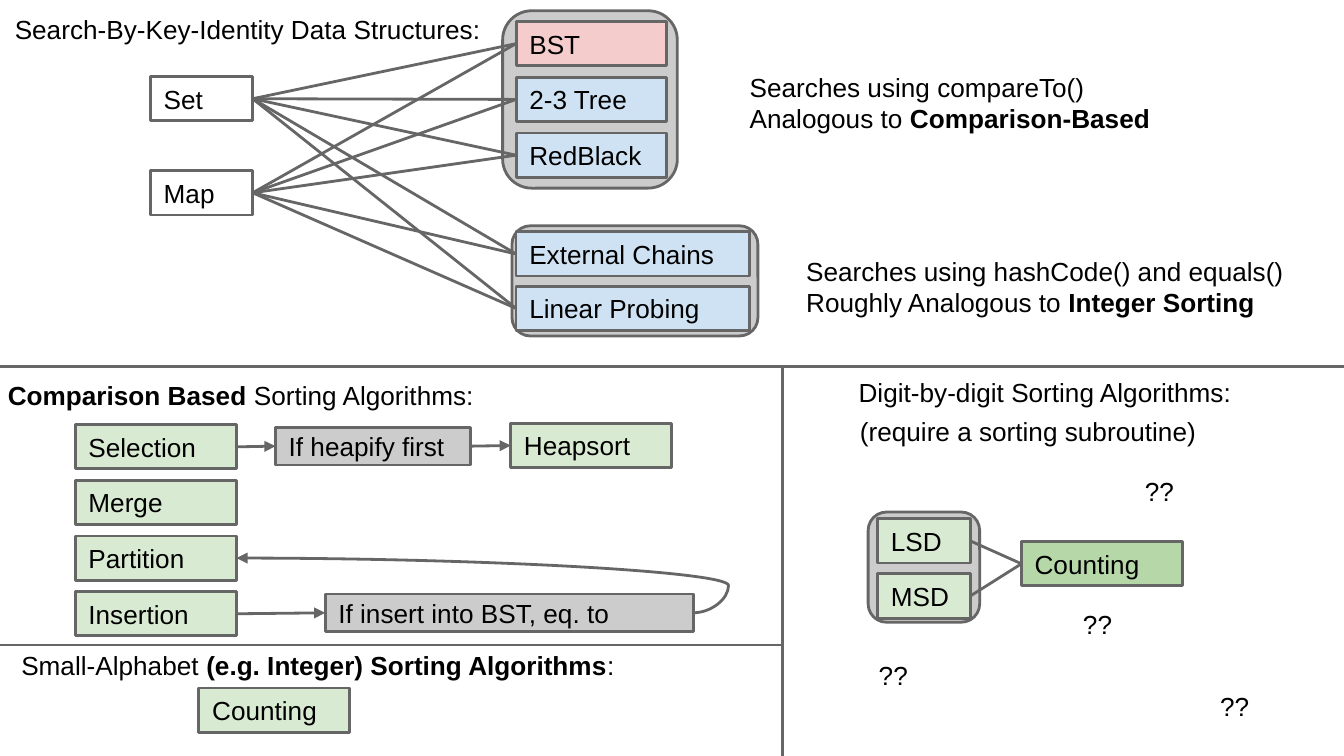
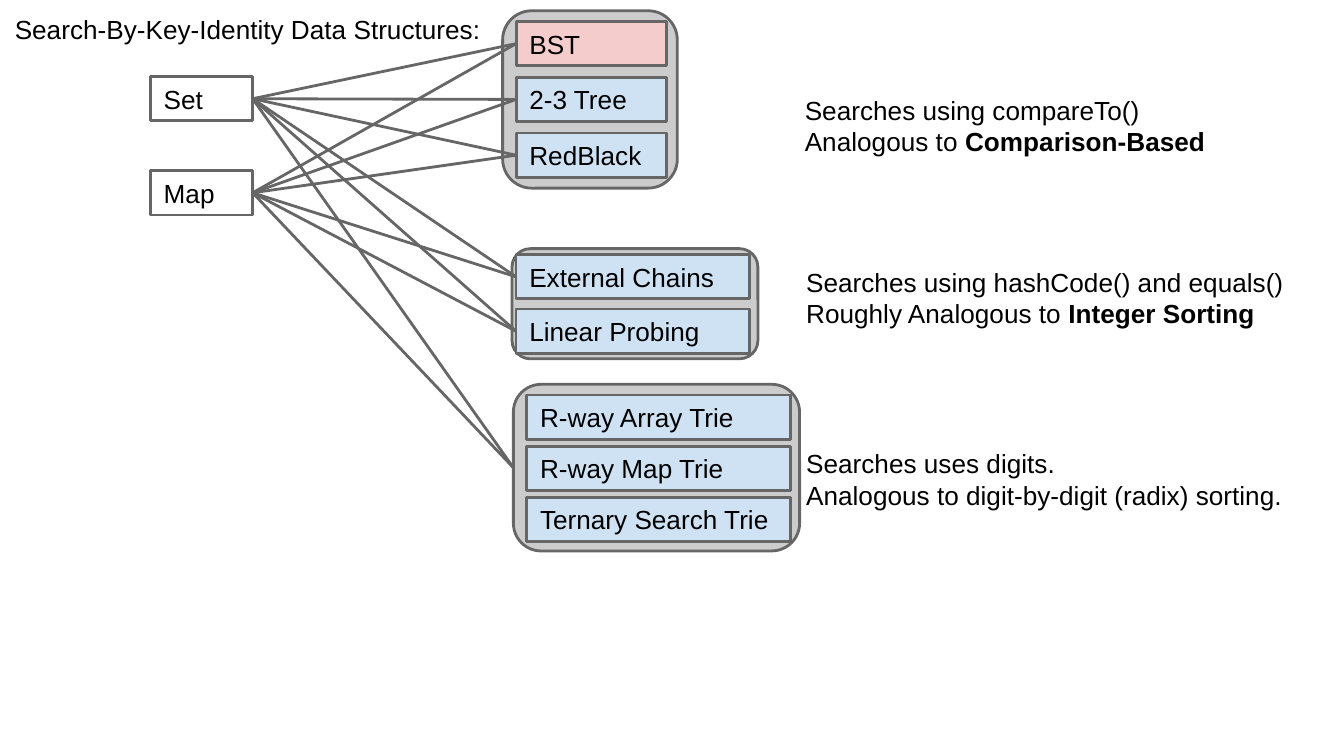
import dataclasses
import itertools

import pptx
import pptx.dml.color
import pptx.enum.shapes
import pptx.enum.text
import pptx.oxml.ns
import pptx.util
from lxml import etree

SHAPE = pptx.enum.shapes.MSO_SHAPE
LINK = pptx.enum.shapes.MSO_CONNECTOR
ANCHOR = pptx.enum.text.MSO_ANCHOR
TOP, LEFT, BOTTOM, RIGHT = range(4)
COLS, ROWS = 100, 56.25
BOX_ROWS = 3.3
CALLOUT_ROWS = 2.8


@dataclasses.dataclass(frozen=True)
class Theme:
    font: str = "Arial"
    size: float = 14
    line_width: float = 1.5
    text: str = "000000"
    line: str = "666666"
    white: str = "FFFFFF"
    gray: str = "CCCCCC"
    red: str = "F4CCCC"
    blue: str = "CFE2F3"
    green: str = "D9EAD3"
    dark_green: str = "B6D7A8"


THEME = Theme()


def rgb(value):
    return pptx.dml.color.RGBColor.from_string(value)


def grid(cells):
    return pptx.util.Inches(cells / 10)


def write(sp, lines, anchor=ANCHOR.TOP):
    tf = sp.text_frame
    tf.word_wrap = True
    tf.auto_size = pptx.enum.text.MSO_AUTO_SIZE.NONE
    tf.vertical_anchor = anchor
    tf.margin_left = tf.margin_top = tf.margin_right = tf.margin_bottom = grid(1)
    for i, line in enumerate(lines):
        p = tf.paragraphs[0] if i == 0 else tf.add_paragraph()
        p.alignment = pptx.enum.text.PP_ALIGN.LEFT
        for j, part in enumerate(line.split("*")):
            if part:
                r = p.add_run()
                r.text = part
                r.font.name = THEME.font
                r.font.size = pptx.util.Pt(THEME.size)
                r.font.bold = j % 2 == 1
                r.font.color.rgb = rgb(THEME.text)


def style_line(line):
    line.color.rgb = rgb(THEME.line)
    line.width = pptx.util.Pt(THEME.line_width)


def panel(shapes, col, row, cols, rows, fill, kind=SHAPE.ROUNDED_RECTANGLE):
    sp = shapes.add_shape(kind, grid(col), grid(row), grid(cols), grid(rows))
    sp.shadow.inherit = False
    sp.fill.solid()
    sp.fill.fore_color.rgb = rgb(fill)
    style_line(sp.line)
    return sp


def box(shapes, text, col, row, cols, fill, rows=BOX_ROWS):
    sp = panel(shapes, col, row, cols, rows, fill, SHAPE.RECTANGLE)
    write(sp, [text], ANCHOR.MIDDLE)
    return sp


def stack(shapes, labels, col, row, cols, pitch, fills):
    return [box(shapes, label, col, row + i * pitch, cols, fill)
            for i, (label, fill) in enumerate(zip(labels, itertools.cycle(fills)))]


def label(shapes, lines, col, row, cols, rows=BOX_ROWS):
    sp = shapes.add_textbox(grid(col), grid(row), grid(cols), grid(rows))
    write(sp, lines)


def line(shapes, start, end, kind=LINK.STRAIGHT):
    c = shapes.add_connector(kind, *start, *end)
    style_line(c.line)
    etree.SubElement(c._element.spPr, pptx.oxml.ns.qn("a:effectLst"))
    return c


def site(sp, side):
    x = sp.left + {LEFT: 0, RIGHT: sp.width}.get(side, sp.width // 2)
    y = sp.top + {TOP: 0, BOTTOM: sp.height}.get(side, sp.height // 2)
    return x, y


def connect(shapes, a, b, end_side=LEFT, arrow=False, kind=LINK.STRAIGHT):
    c = line(shapes, site(a, RIGHT), site(b, end_side), kind)
    c.begin_connect(a, RIGHT)
    c.end_connect(b, end_side)
    if arrow:
        ln = c.line._get_or_add_ln()
        etree.SubElement(ln, pptx.oxml.ns.qn("a:tailEnd"), type="triangle")
    return c


def bend(c, share):
    qn = pptx.oxml.ns.qn
    geom = c._element.spPr.find(qn("a:prstGeom"))
    av = geom.find(qn("a:avLst"))
    if av is None:
        av = etree.SubElement(geom, qn("a:avLst"))
    etree.SubElement(av, qn("a:gd"), name="adj1", fmla=f"val {round(share * 100000)}")


def add_slide(prs, title):
    s = prs.slides.add_slide(prs.slide_layouts[5])
    sp = s.shapes.title
    sp.left, sp.top, sp.width, sp.height = map(grid, (0.1, 0, 43.1, BOX_ROWS))
    write(sp, [title])
    return s


def search_structures(s, hash_row, tree_note, hash_note_row):
    shapes = s.shapes
    panel(shapes, 38.1, hash_row, 18.3, 8.2, THEME.gray)
    panel(shapes, 37.4, 0.8, 13, 13.2, THEME.gray)
    keyed = stack(shapes, ["Set", "Map"], 11.2, 5.7, 7.6, 7, [THEME.white])
    trees = stack(shapes, ["BST", "2-3 Tree", "RedBlack"], 38.4, 1.6, 11.2, 4.15,
                  [THEME.red, THEME.blue, THEME.blue])
    hashes = stack(shapes, ["External Chains", "Linear Probing"], 38.4,
                   hash_row + 0.45, 17.4, 4.05, [THEME.blue])
    for a, b in itertools.product(keyed, trees + hashes):
        connect(shapes, a, b)
    label(shapes, ["Searches using compareTo()", "Analogous to *Comparison-Based*"],
          *tree_note, 33, 4.2)
    label(shapes, ["Searches using hashCode() and equals()",
                   "Roughly Analogous to *Integer Sorting*"], 59, hash_note_row, 39.4, 4.2)
    return keyed


def tries(s, keyed):
    shapes = s.shapes
    frame = panel(shapes, 38.2, 28.6, 21.3, 12.4, THEME.gray)
    for sp in keyed:
        connect(shapes, sp, frame)
    label(shapes, ["Searches uses digits.", "Analogous to digit-by-digit (radix) sorting."],
          59, 32.3, 39.4, 4.2)
    stack(shapes, ["R-way Array Trie", "R-way Map Trie", "Ternary Search Trie"],
          39.2, 29.4, 19.6, 3.8, [THEME.blue])


def small_alphabet_sorts(shapes):
    box(shapes, "Counting", 14.8, 51.2, 11.2, THEME.green)
    label(shapes, ["Small-Alphabet *(e.g. Integer) Sorting Algorithms*:"], 0.6, 47.3, 46.5)


def dividers(shapes):
    for c1, r1, c2, r2 in [(58.2, 27.3, 58.2, 56.4), (58.2, 48, -0.1, 48),
                           (-0.1, 27.3, 100.1, 27.3)]:
        line(shapes, (grid(c1), grid(r1)), (grid(c2), grid(r2)))


def comparison_sorts(shapes):
    label(shapes, ["*Comparison Based *Sorting Algorithms:"], -0.4, 27.2, 37.8)
    selection, _, partition, insertion = stack(
        shapes, ["Selection", "Merge", "Partition", "Insertion"],
        5.6, 31.6, 12, 4.14, [THEME.green])
    into_bst = box(shapes, "If insert into BST, eq. to", 24.2, 44.2, 27.4,
                   THEME.gray, CALLOUT_ROWS)
    connect(shapes, insertion, into_bst, arrow=True)
    bend(connect(shapes, into_bst, partition, RIGHT, True, LINK.CURVE), -0.077)
    heapify = box(shapes, "If heapify first", 20.5, 31.8, 14.5, THEME.gray, CALLOUT_ROWS)
    connect(shapes, selection, heapify, arrow=True)
    heapsort = box(shapes, "Heapsort", 38, 31.5, 12, THEME.green)
    connect(shapes, heapify, heapsort, arrow=True)


def digit_sorts(shapes):
    panel(shapes, 64.6, 38.1, 8.3, 8.2, THEME.gray)
    radix = stack(shapes, ["LSD", "MSD"], 65.3, 38.6, 6.9, 4.1, [THEME.green])
    counting = box(shapes, "Counting", 76, 40.3, 12, THEME.dark_green)
    for sp in radix:
        connect(shapes, sp, counting)
    label(shapes, ["Digit-by-digit Sorting Algorithms:"], 62.9, 27, 36.5)
    label(shapes, ["(require a sorting subroutine)"], 63, 29.9, 28, CALLOUT_ROWS)


def open_questions(shapes):
    for col, row in [(64.4, 48.1), (84.2, 34.4), (89.8, 50.4), (79.6, 44.3)]:
        label(shapes, ["??"], col, row, 4.7, 4.2)


def main():
    prs = pptx.Presentation()
    prs.slide_width, prs.slide_height = grid(COLS), grid(ROWS)
    title = "Search-By-Key-Identity Data Structures:"

    s = add_slide(prs, title)
    search_structures(s, 16.8, (54.8, 4.3), 18)
    for draw in (small_alphabet_sorts, dividers, comparison_sorts, digit_sorts, open_questions):
        draw(s.shapes.add_group_shape().shapes)

    s = add_slide(prs, title)
    keyed = search_structures(s, 18.5, (58.9, 6), 18.8)
    tries(s, keyed)

    prs.save("out.pptx")


if __name__ == "__main__":
    main()
